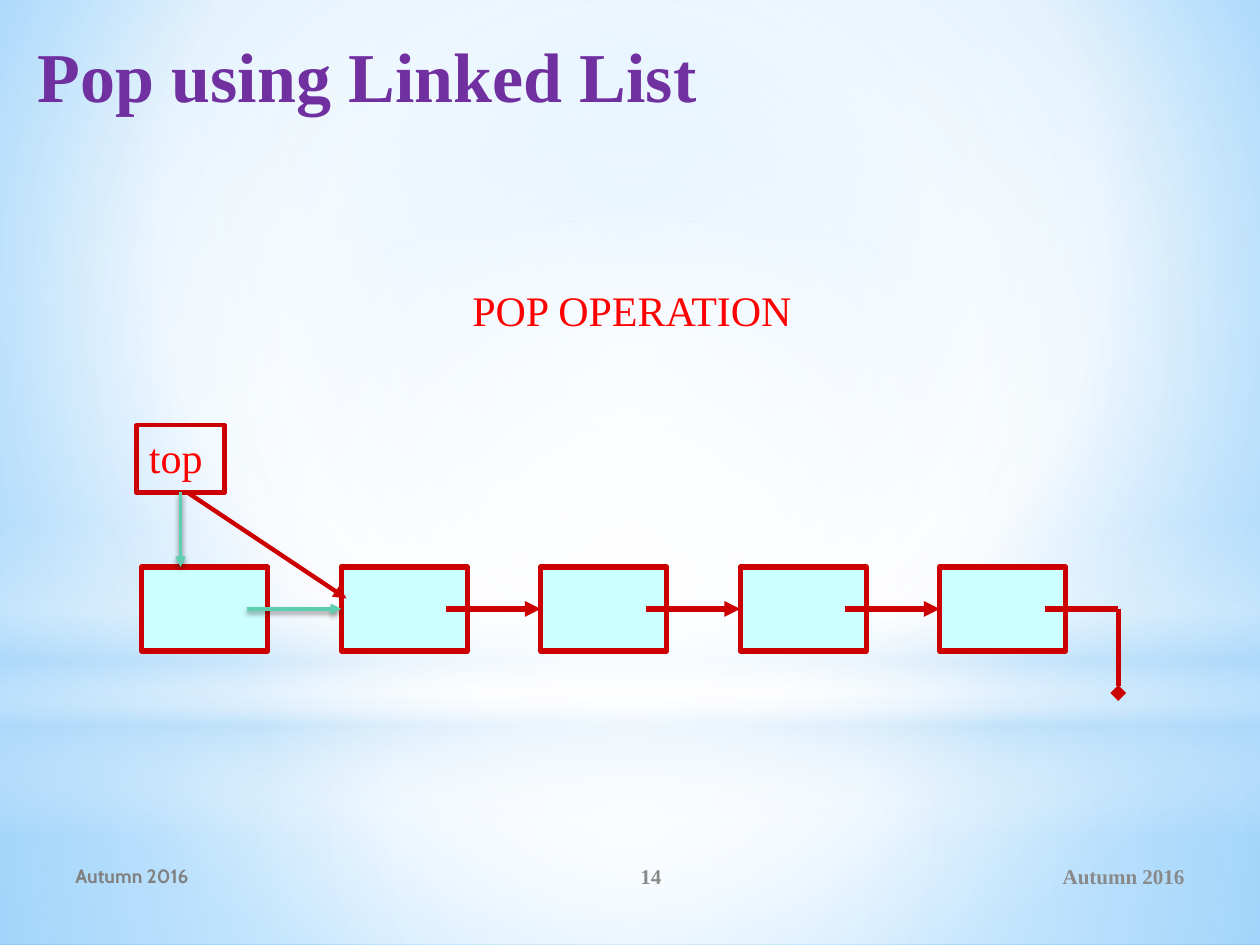
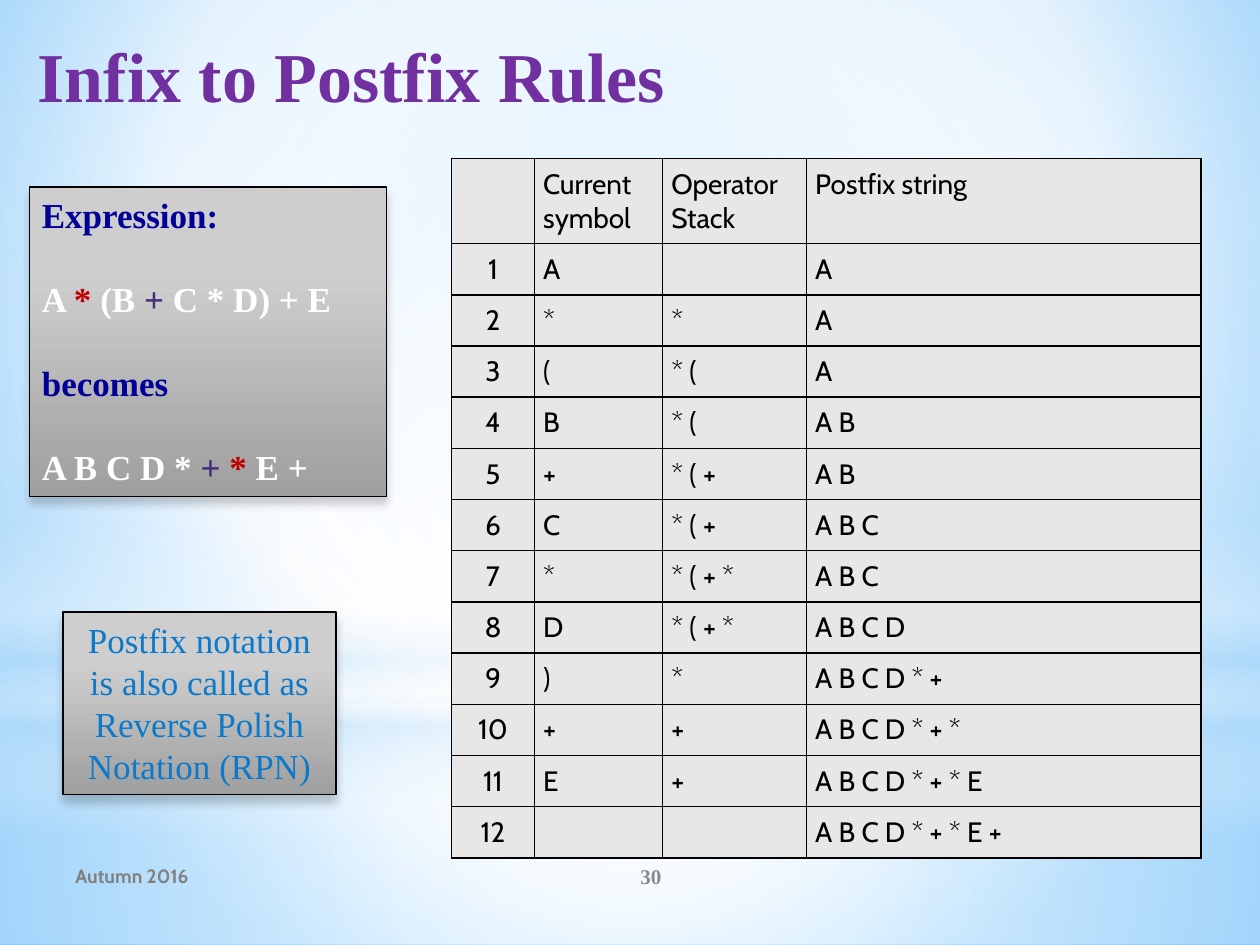
"""Build two lecture slides: popping from a linked stack and infix to postfix rules."""
from pptx import Presentation
from pptx import util as u
from pptx.dml.color import RGBColor
from pptx.enum import shapes, text
from pptx.oxml import parse_xml
from pptx.oxml.ns import nsdecls, qn

PURPLE = RGBColor(0x70, 0x30, 0xA0)
GREY = RGBColor(0x89, 0x89, 0x89)
DARK_GREY = RGBColor(0x80, 0x80, 0x80)
RED = RGBColor(0xFF, 0x00, 0x00)
LINK_RED = RGBColor(0xCC, 0x00, 0x00)
OLD_LINK = RGBColor(0x5D, 0xCE, 0xAF)
NODE_FILL = RGBColor(0xCC, 0xFF, 0xFF)
BLACK = RGBColor(0x00, 0x00, 0x00)
WHITE = RGBColor(0xFF, 0xFF, 0xFF)
NAVY = RGBColor(0x00, 0x00, 0x99)
CRIMSON = RGBColor(0xC0, 0x00, 0x00)
INDIGO = RGBColor(0x43, 0x2D, 0x7B)
NOTE_BLUE = RGBColor(0x0D, 0x79, 0xCA)
CELL_FILL = RGBColor(0xE7, 0xE7, 0xE7)
SKY = RGBColor(0xB4, 0xDC, 0xFA)
SKY_INNER = RGBColor(0x9E, 0xD5, 0xFF)
SKY_OUTER = RGBColor(0x5B, 0xB9, 0xFF)
CARD_TOP = RGBColor(0xCE, 0xCE, 0xCE)
CARD_BOTTOM = RGBColor(0x9F, 0x9F, 0x9F)
SERIF = "Times New Roman"
SANS = "Cabin"
LEFT, CENTER, RIGHT = text.PP_ALIGN.LEFT, text.PP_ALIGN.CENTER, text.PP_ALIGN.RIGHT
RECTANGLE, OVAL = shapes.MSO_SHAPE.RECTANGLE, shapes.MSO_SHAPE.OVAL
STRAIGHT = shapes.MSO_CONNECTOR.STRAIGHT
SHADOW = ('<a:outerShdw {} blurRad="{}" dist="{}" dir="5400000" rotWithShape="0">'
          '<a:srgbClr val="000000"><a:alpha val="{}"/></a:srgbClr></a:outerShdw>')

presentation = Presentation()
presentation.slide_width, presentation.slide_height = u.Inches(10), u.Inches(7.5)
COLUMN = presentation.slide_width / 120
ROW = presentation.slide_height / 90


def grid(*cells):
    """Turn alternating column and row counts into lengths."""
    return [u.Emu(round(cell * (ROW if index % 2 else COLUMN))) for index, cell in enumerate(cells)]


def set_gradient(properties, stops, focus=None):
    """Replace a solid fill by a circular gradient, or a vertical one without a focus."""
    stop_xml = "".join(
        f'<a:gs pos="{position * 1000}"><a:srgbClr val="{color}">'
        f'<a:alpha val="{opacity * 1000}"/></a:srgbClr></a:gs>'
        for position, color, opacity in stops)
    direction = '<a:lin ang="5400000" scaled="0"/>'
    if focus:
        left, top, right, bottom = (share * 1000 for share in focus)
        direction = (f'<a:path path="circle"><a:fillToRect l="{left}" t="{top}" '
                     f'r="{right}" b="{bottom}"/></a:path>')
    gradient = parse_xml(f'<a:gradFill {nsdecls("a")} rotWithShape="1">'
                         f'<a:gsLst>{stop_xml}</a:gsLst>{direction}</a:gradFill>')
    properties.replace(properties.find(qn("a:solidFill")), gradient)


layout = presentation.slide_layouts[5]
layout.background.fill.solid()
set_gradient(layout.element.find(".//" + qn("p:bgPr")),
             [(0, SKY_INNER, 100), (60, WHITE, 100), (100, SKY_OUTER, 100)], (20, 10, 20, 60))
pop_slide, rules_slide = (presentation.slides.add_slide(layout) for _ in range(2))

MIDDLE = (50, 50, 50, 50)
glows = [
    (RECTANGLE, (0, 67, 120, 23), [(0, WHITE, 91), (37, WHITE, 76), (100, SKY, 79)], MIDDLE),
    (RECTANGLE, (0, 0, 120, 67), [(0, WHITE, 89), (48, WHITE, 62), (100, SKY, 79)], MIDDLE),
    (RECTANGLE, (0, 49.5, 120, 30), [(0, WHITE, 0), (29, WHITE, 30), (45, SKY, 40),
                                     (55, WHITE, 26), (65, SKY, 60), (100, WHITE, 0)], None),
    (OVAL, (0, 21, 120, 67), [(0, WHITE, 100), (56, WHITE, 0)], MIDDLE),
]
for index, (outline, place, stops, focus) in enumerate(glows):
    glow = pop_slide.shapes.add_shape(outline, *grid(*place))
    glow.shadow.inherit = False
    glow.line.fill.background()
    glow.fill.solid()
    set_gradient(glow.element.spPr, stops, focus)
    layout.shapes.element.insert(2 + index, glow.element)

FOOTER_DATE = ("Autumn 2016", (6, 81, 44, 4.8), LEFT, 11, SANS, DARK_GREY, True)
RIGHT_DATE = ("Autumn 2016", (81, 81, 33, 4.8), RIGHT, 12, SERIF, GREY, True)
POP_LABEL = ("POP OPERATION", (43.8, 26.5, 35.6, 6), LEFT, 24, SERIF, RED, False)
pages = [(pop_slide, "Pop using Linked List", "14", [RIGHT_DATE, POP_LABEL]),
         (rules_slide, "Infix to Postfix Rules", "30", [])]
for slide, heading, number, extra_labels in pages:
    title = slide.shapes.title
    title.left, title.top, title.width, title.height = grid(2.4, 2.5, 114.4, 15)
    title.text_frame.text = heading
    title.text_frame.auto_size = text.MSO_AUTO_SIZE.NONE
    title.text_frame.vertical_anchor = text.MSO_ANCHOR.TOP
    paragraph = title.text_frame.paragraphs[0]
    paragraph.alignment = LEFT
    font = paragraph.runs[0].font
    font.name, font.size, font.bold, font.color.rgb = SERIF, u.Pt(40), True, PURPLE
    page_number = (number, (50, 81, 24, 4.8), CENTER, 12, SERIF, GREY, True)
    for words, place, alignment, size, typeface, color, bold in [FOOTER_DATE, page_number, *extra_labels]:
        label = slide.shapes.add_textbox(*grid(*place))
        label.text_frame.word_wrap = True
        label.text_frame.vertical_anchor = text.MSO_ANCHOR.MIDDLE
        label.text_frame.text = words
        paragraph = label.text_frame.paragraphs[0]
        paragraph.alignment = alignment
        font = paragraph.runs[0].font
        font.name, font.size, font.bold, font.color.rgb = typeface, u.Pt(size), bold, color

NODE_COUNT, NODE_PITCH = 5, 19
boxes = [((13.5 + NODE_PITCH * index, 54, 12, 8), 3) for index in range(NODE_COUNT)]
boxes.append(((13, 40.5, 8.4, 6.4), 2.5))
nodes = []
for place, width in boxes:
    node = pop_slide.shapes.add_shape(RECTANGLE, *grid(*place))
    node.shadow.inherit = False
    node.fill.solid()
    node.fill.fore_color.rgb = NODE_FILL
    node.line.color.rgb, node.line.width = LINK_RED, u.Pt(width)
    nodes.append(node)
top_box = nodes.pop()
top_box.fill.background()
top_box.text_frame.word_wrap = False
top_box.text_frame.vertical_anchor = text.MSO_ANCHOR.TOP
top_box.text_frame.text = "top"
paragraph = top_box.text_frame.paragraphs[0]
paragraph.alignment = LEFT
font = paragraph.runs[0].font
font.name, font.size, font.color.rgb = SERIF, u.Pt(24), RED

links = [((23.5 + NODE_PITCH * index, 58, 32.5 + NODE_PITCH * index, 58),
          LINK_RED if index else OLD_LINK, 3 if index else 2, "triangle", None, (nodes[index + 1], 1))
         for index in range(NODE_COUNT - 1)]
links += [
    ((99.5, 58, 106.5, 58), LINK_RED, 3, "none", None, None),
    ((106.5, 58, 106.5, 66), LINK_RED, 3, "diamond", None, None),
    ((17.2, 46.9, 17.2, 54), OLD_LINK, 2, "triangle", (top_box, 2), None),
    ((18, 47, 33, 57), LINK_RED, 2.5, "triangle", None, None),
]
for ends, color, width, tail, source, target in links:
    link = pop_slide.shapes.add_connector(STRAIGHT, *grid(*ends))
    if source:
        link.begin_connect(*source)
    if target:
        link.end_connect(*target)
    link.line.color.rgb, link.line.width = color, u.Pt(width)
    properties = link.element.spPr
    properties.find(qn("a:ln")).append(parse_xml(f'<a:tailEnd {nsdecls("a")} type="{tail}"/>'))
    effects = parse_xml(f'<a:effectLst {nsdecls("a")}/>')
    if color == OLD_LINK:
        effects.append(parse_xml(SHADOW.format(nsdecls("a"), u.Pt(3.1), u.Pt(1.8), 45000)))
    properties.append(effects)

TABLE_COLUMNS = (7.9, 12.2, 13.7, 37.6)
HEADER_ROWS, STEP_ROWS = 8.1, 4.83
steps = [
    ("", "Current symbol", "Operator Stack", "Postfix string"),
    ("1", "A", "", "A"),
    ("2", "*", "*", "A"),
    ("3", "(", "* (", "A"),
    ("4", "B", "* (", "A B"),
    ("5", "+", "* ( +", "A B"),
    ("6", "C", "* ( +", "A B C"),
    ("7", "*", "* ( + *", "A B C"),
    ("8", "D", "* ( + *", "A B C D"),
    ("9", ")", "*", "A B C D * +"),
    ("10", "+", "+", "A B C D * + *"),
    ("11", "E", "+", "A B C D * + * E"),
    ("12", "", "", "A B C D * + * E +"),
]
table_height = HEADER_ROWS + STEP_ROWS * (len(steps) - 1)
table = rules_slide.shapes.add_table(len(steps), len(TABLE_COLUMNS),
                                     *grid(43, 15.1, sum(TABLE_COLUMNS), table_height)).table
table.first_row = table.horz_banding = False
for column, width in zip(table.columns, TABLE_COLUMNS):
    column.width = round(width * COLUMN)
for row_index, step in enumerate(steps):
    table.rows[row_index].height = round((STEP_ROWS if row_index else HEADER_ROWS) * ROW)
    for column_index, words in enumerate(step):
        cell = table.cell(row_index, column_index)
        cell.margin_left = cell.margin_right = u.Inches(0.07)
        cell.margin_top = cell.margin_bottom = u.Inches(0.07 if words else 0)
        for side in ("lnL", "lnR", "lnT", "lnB"):
            cell._tc.get_or_add_tcPr().append(parse_xml(
                f'<a:{side} {nsdecls("a")} w="{u.Pt(1)}"><a:solidFill>'
                f'<a:srgbClr val="{BLACK}"/></a:solidFill></a:{side}>'))
        cell.fill.solid()
        cell.fill.fore_color.rgb = CELL_FILL
        cell.text_frame.text = words
        paragraph = cell.text_frame.paragraphs[0]
        paragraph.alignment = LEFT if column_index else CENTER
        for run in paragraph.runs:
            run.font.name, run.font.size, run.font.color.rgb = SANS, u.Pt(16), BLACK

expression = [
    [("Expression:", NAVY)],
    [("A ", WHITE), ("* ", CRIMSON), ("(B ", WHITE), ("+ ", INDIGO), ("C * D) + E", WHITE)],
    [("becomes", NAVY)],
    [("A B C D * ", WHITE), ("+ ", INDIGO), ("* ", CRIMSON), ("E +", WHITE)],
]
note = [[("Postfix notation is also called as Reverse Polish Notation (RPN)", NOTE_BLUE)]]
cards = [((2.8, 17.8, 34, 29.5), expression, LEFT, True),
         ((6, 58.3, 26, 17.4), note, CENTER, False)]
for place, lines, alignment, bold in cards:
    card = rules_slide.shapes.add_shape(RECTANGLE, *grid(*place))
    card.fill.solid()
    set_gradient(card.element.spPr, [(28, CARD_TOP, 100), (100, CARD_BOTTOM, 100)])
    card.line.color.rgb, card.line.width = BLACK, u.Pt(0.75)
    card.shadow.inherit = False
    card.element.spPr.find(qn("a:effectLst")).append(
        parse_xml(SHADOW.format(nsdecls("a"), u.Pt(5), u.Pt(4), 20000)))
    frame = card.text_frame
    frame.word_wrap = True
    frame.vertical_anchor = text.MSO_ANCHOR.TOP
    for index, line in enumerate(lines):
        paragraph = frame.add_paragraph() if index else frame.paragraphs[0]
        paragraph.alignment = alignment
        paragraph.space_before = u.Pt(24 if index else 0)
        for words, color in line:
            run = paragraph.add_run()
            run.text = words
            font = run.font
            font.name, font.size, font.bold, font.color.rgb = SERIF, u.Pt(20), bold, color

presentation.save("out.pptx")
